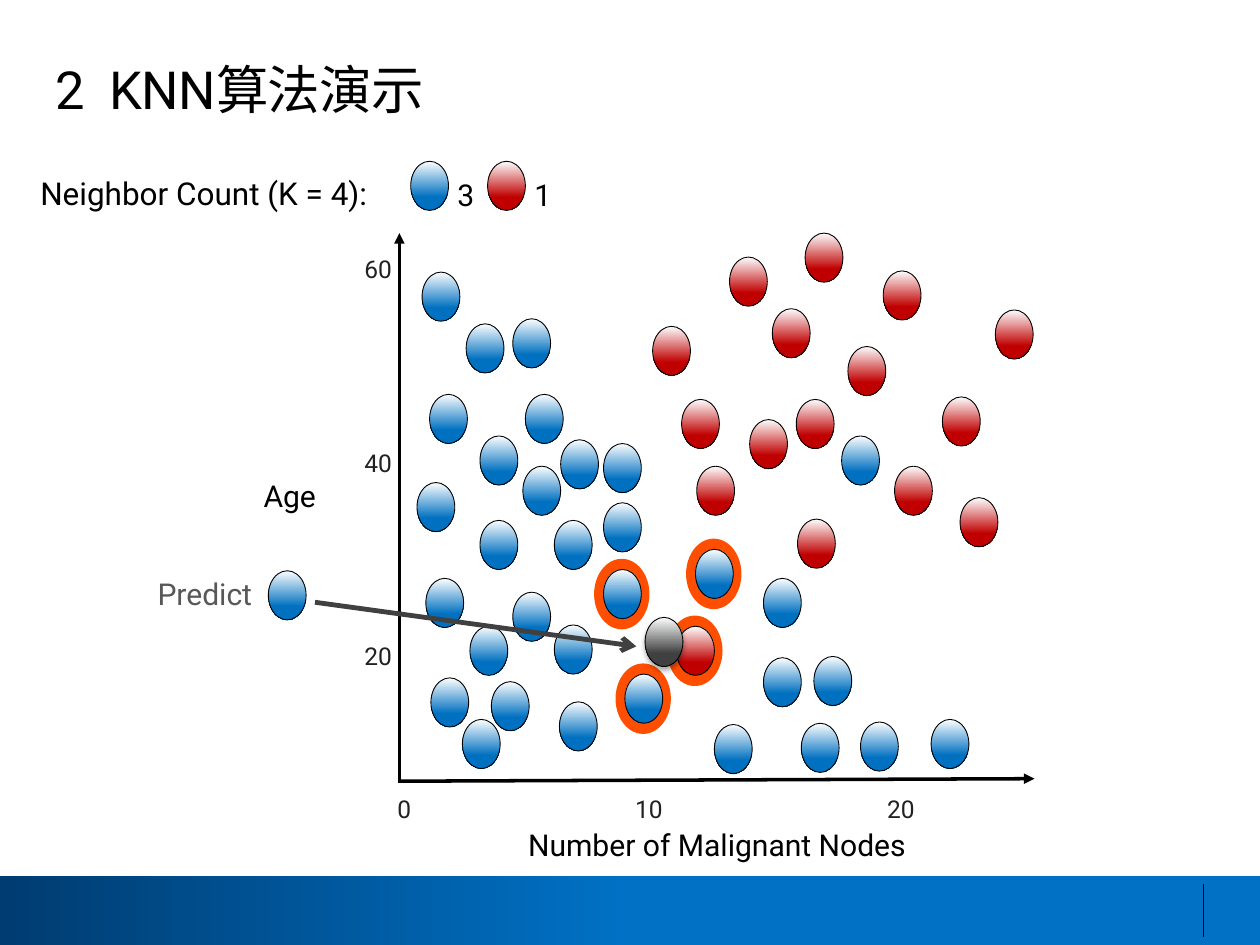
from dataclasses import dataclass

from lxml.etree import SubElement
from pptx import Presentation
from pptx.dml.color import RGBColor as Rgb
from pptx.enum.shapes import MSO_CONNECTOR as Connector, MSO_SHAPE as Preset
from pptx.enum.text import MSO_ANCHOR as Anchor, MSO_AUTO_SIZE as AutoSize, PP_ALIGN as Align
from pptx.oxml.ns import qn
from pptx.util import Emu, Pt

PX = 9144
DOT = (30, 39)
HALO = (37, 49)


@dataclass(frozen=True)
class Theme:
    font: str = "Roboto"
    black: str = "000000"
    axis_label: str = "212121"
    muted: str = "585858"
    dark: str = "404040"
    shine: str = "FEFFFF"
    blue: str = "0070C0"
    red: str = "C00000"
    orange: str = "FF4E00"
    navy: str = "003C71"
    footer: str = "0071C5"
    title_size: float = 30
    legend_size: float = 18
    body_size: float = 17.2
    tick_size: float = 14
    line_height: float = 28.5


THEME = Theme()


@dataclass(frozen=True)
class Box:
    left: int
    top: int
    width: int
    height: int

    def inner(self, left, top, width, height):
        return Box(self.left + left, self.top + top, width, height)

    def emu(self):
        return [Emu(side * PX) for side in (self.left, self.top, self.width, self.height)]


BLUE_DOTS = [
    (98, 185), (123, 311), (50, 386), (162, 214), (128, 164), (366, 388), (329, 336), (422, 386),
    (24, 128), (18, 31), (64, 161), (21, 274), (56, 312), (90, 68), (123, 228), (162, 167),
    (289, 274), (351, 161), (289, 337), (250, 390), (319, 389), (127, 372), (73, 356), (25, 353),
    (90, 285), (64, 228), (100, 128), (14, 198), (53, 72),
]
RED_DOTS = [
    (316, 227), (236, 185), (224, 132), (201, 74), (262, 19), (296, 60), (315, 132), (278, 148),
    (356, 90), (322, 0), (384, 30), (473, 61), (431, 130), (393, 185), (445, 210),
]
NEIGHBORS = [
    (235, 251, THEME.blue), (162, 267, THEME.blue), (179, 350, THEME.blue), (220, 312, THEME.red),
]


def add_shape(page, preset, box, line=None, line_width=0.5):
    shape = page.shapes.add_shape(preset, *box.emu())
    shape.shadow.inherit = False
    if line:
        shape.line.color.rgb = Rgb.from_string(line)
        shape.line.width = Pt(line_width)
    else:
        shape.line.fill.background()
    return shape


def fill_gradient(shape, start, end, end_position, angle):
    shape.fill.gradient()
    shape.fill.gradient_angle = angle
    for stop, color, position in zip(shape.fill.gradient_stops, (start, end), (0, end_position)):
        stop.color.rgb = Rgb.from_string(color)
        stop.position = position


def add_dot(page, box, left, top, color):
    dot = add_shape(page, Preset.OVAL, box.inner(left, top, *DOT), THEME.black)
    fill_gradient(dot, THEME.shine, color, 0.73, 270)
    return dot


def add_halo(page, box, left, top):
    halo = add_shape(page, Preset.OVAL, box.inner(left - 4, top - 5, *HALO), THEME.orange, 5)
    halo.fill.solid()
    halo.fill.fore_color.rgb = Rgb.from_string(THEME.orange)


def add_drop_shadow(shape):
    effects = shape.element.spPr.find(qn("a:effectLst"))
    shadow = SubElement(effects, qn("a:outerShdw"), blurRad=str(Pt(3.1)), dist=str(Pt(1.8)),
                        dir="5400000", rotWithShape="0")
    color = SubElement(shadow, qn("a:srgbClr"), val=THEME.black)
    SubElement(color, qn("a:alpha"), val="35000")


def add_line(page, box, start, end, color, width, arrow=None):
    points = [Emu(side * PX) for x, y in (start, end) for side in (box.left + x, box.top + y)]
    line = page.shapes.add_connector(Connector.STRAIGHT, *points)
    line.line.color.rgb = Rgb.from_string(color)
    line.line.width = Pt(width)
    properties = line.element.spPr
    if arrow:
        SubElement(properties.find(qn("a:ln")), qn("a:tailEnd"), type=arrow)
    SubElement(properties, qn("a:effectLst"))


def add_text(page, box, text, size, color=THEME.black, align=Align.LEFT, anchor=Anchor.TOP,
             line_height=THEME.line_height):
    frame = page.shapes.add_textbox(*box.emu()).text_frame
    frame.word_wrap = True
    frame.auto_size = AutoSize.SHAPE_TO_FIT_TEXT
    frame.vertical_anchor = anchor
    frame.margin_left = frame.margin_right = frame.margin_top = frame.margin_bottom = 0
    frame.text = text
    para = frame.paragraphs[0]
    para.alignment = align
    if line_height:
        para.line_spacing = Pt(line_height)
    span = para.runs[0]
    span.font.name = THEME.font
    span.font.size = Pt(size)
    span.font.color.rgb = Rgb.from_string(color)
    return span


def draw_footer(page, box):
    band = add_shape(page, Preset.RECTANGLE, box)
    fill_gradient(band, THEME.navy, THEME.footer, 0.5, 0)
    add_line(page, box, (955, 7), (955, 49), THEME.black, 0.75)


def draw_title(page, box):
    span = add_text(page, box, "2  KNN算法演示", THEME.title_size, line_height=None)
    span.font._element.set("spc", "-30")


def draw_legend(page, box):
    add_text(page, box.inner(0, 2, 267, 36), "Neighbor Count (K = 4):", THEME.legend_size,
             anchor=Anchor.MIDDLE)
    for left, color, count in ((294, THEME.blue, "3"), (355, THEME.red, "1")):
        add_dot(page, box, left, 0, color)
        add_text(page, box.inner(left + 37, 0, 22, 41), count, THEME.body_size,
                 anchor=Anchor.MIDDLE)


def draw_plot(page, box):
    for left, top, color in NEIGHBORS:
        add_halo(page, box, left, top)
    add_text(page, box.inner(71, 460, 362, 41), "Number of Malignant Nodes", THEME.body_size,
             align=Align.CENTER)
    add_text(page, box.inner(-125, 183, 76, 41), "Age", THEME.body_size, align=Align.CENTER)
    for index, label in enumerate(("60", "40", "20")):
        add_text(page, box.inner(-31, round(153.5 * index), 25, 41), label, THEME.tick_size,
                 THEME.axis_label, Align.RIGHT, Anchor.MIDDLE)
    for center, label in ((4, "0"), (198, "10"), (398, "20")):
        add_text(page, box.inner(center - 15, 428, 30, 41), label, THEME.tick_size,
                 THEME.axis_label, Align.CENTER, Anchor.MIDDLE)
    add_line(page, box, (0, 436), (0, 0), THEME.black, 2, "triangle")
    add_line(page, box, (-1, 435), (504, 433), THEME.black, 2, "triangle")
    blue = [(left, top, THEME.blue) for left, top in BLUE_DOTS]
    red = [(left, top, THEME.red) for left, top in RED_DOTS]
    for left, top, color in blue + red + NEIGHBORS:
        add_dot(page, box, left, top, color)


def draw_prediction(page, box):
    add_text(page, box.inner(0, 0, 88, 41), "Predict", THEME.body_size, THEME.muted)
    add_dot(page, box, 88, 7, THEME.blue)
    add_line(page, box, (125, 32), (380, 67), THEME.dark, 2.75, "arrow")
    add_drop_shadow(add_dot(page, box, 387, 44, THEME.dark))


def main():
    deck = Presentation()
    deck.slide_width, deck.slide_height = Emu(1000 * PX), Emu(750 * PX)
    page = deck.slides.add_slide(deck.slide_layouts[6])
    draw_footer(page, Box(0, 695, 1000, 56))
    draw_title(page, Box(44, 45, 923, 50))
    draw_legend(page, Box(32, 128, 415, 41))
    draw_plot(page, Box(317, 185, 504, 501))
    draw_prediction(page, Box(125, 446, 417, 83))
    deck.save("out.pptx")


if __name__ == "__main__":
    main()
